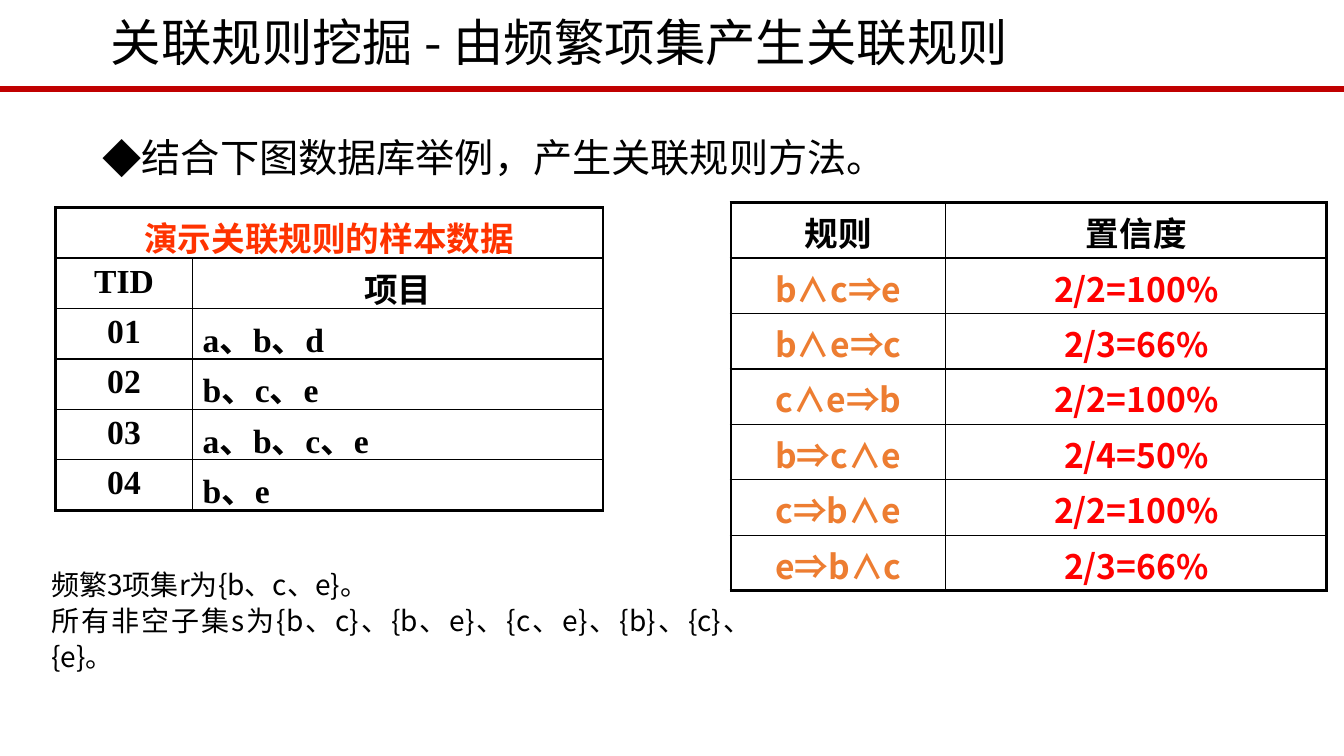
from pptx import Presentation
from pptx.dml.color import RGBColor
from pptx.enum.shapes import MSO_CONNECTOR
from pptx.enum.text import MSO_ANCHOR, MSO_AUTO_SIZE, PP_ALIGN
from pptx.oxml.xmlchemy import OxmlElement
from pptx.util import Inches, Pt

TITLE = "关联规则挖掘 - 由频繁项集产生关联规则"
TOPIC = "结合下图数据库举例，产生关联规则方法。"
NOTES = [
    "频繁3项集r为{b、c、e}。",
    "所有非空子集s为{b、c}、{b、e}、{c、e}、{b}、{c}、{e}。",
]
SAMPLES = [
    ("演示关联规则的样本数据", ""),
    ("TID", "项目"),
    ("01", "a、b、d"),
    ("02", "b、c、e"),
    ("03", "a、b、c、e"),
    ("04", "b、e"),
]
RULES = [
    ("规则", "置信度"),
    ("b∧c⇒e", "2/2=100%"),
    ("b∧e⇒c", "2/3=66%"),
    ("c∧e⇒b", "2/2=100%"),
    ("b⇒c∧e", "2/4=50%"),
    ("c⇒b∧e", "2/2=100%"),
    ("e⇒b∧c", "2/3=66%"),
]
COLORS = {
    "text": "000000",
    "divider": "C00000",
    "caption": "FF3300",
    "rule": "ED7D31",
    "confidence": "FF0000",
}
SANS, SANS_RULES, SERIF = "Noto Sans CJK SC", "Noto Sans CJK JP", "Times New Roman"
THIN, THICK = 1, 2.25


def add_child(parent, tag, **attributes):
    child = OxmlElement(tag)
    for name, value in attributes.items():
        child.set(name, str(value))
    parent.append(child)
    return child


def write(paragraph, text, size, color="text", font=SANS, east_asian=SANS, bold=False, **layout):
    for name, value in layout.items():
        setattr(paragraph, name, value)
    run = paragraph.add_run()
    run.text = text
    for name, value in {"size": Pt(size), "name": font, "bold": bold}.items():
        setattr(run.font, name, value)
    run.font.color.rgb = RGBColor.from_string(COLORS[color])
    add_child(run.font._element, "a:ea", typeface=east_asian)


def add_text_box(slide, left, top, width, height):
    frame = slide.shapes.add_textbox(*map(Inches, (left, top, width, height))).text_frame
    frame.word_wrap = True
    return frame


def set_borders(cell, edges):
    properties = cell._tc.get_or_add_tcPr()
    for position, (side, outer) in enumerate(edges.items()):
        width = Pt(THICK if outer else THIN)
        line = OxmlElement(f"a:ln{side}")
        line.set("w", str(width))
        fill = add_child(line, "a:solidFill")
        add_child(fill, "a:srgbClr", val=COLORS["text"])
        properties.insert(position, line)


def add_grid(slide, rows, left, top, widths, row_height, style, bottom_margin):
    last = len(rows) - 1
    frame = slide.shapes.add_table(
        len(rows), 2, Inches(left), Inches(top), Inches(sum(widths)), Inches(row_height * len(rows))
    )
    table = frame.table
    table.first_row = table.horz_banding = False
    for column, width in zip(table.columns, widths):
        column.width = Inches(width)
    for r, values in enumerate(rows):
        table.rows[r].height = Inches(row_height)
        for c, text in enumerate(values):
            cell = table.cell(r, c)
            cell.margin_bottom = Inches(bottom_margin)
            cell.fill.background()
            spans = r == 0 and not rows[0][1]
            set_borders(cell, {"L": c == 0, "R": c == 1 or spans, "T": r == 0, "B": r == last})
            if text:
                write(cell.text_frame.paragraphs[0], text, 24, bold=True, **style(r, c))
    return table


def sample_style(r, c):
    return {
        "color": "caption" if r == 0 else "text",
        "font": SERIF,
        "alignment": PP_ALIGN.LEFT if r > 1 and c == 1 else PP_ALIGN.CENTER,
    }


def rule_style(r, c):
    if r == 0:
        return {"font": SERIF, "alignment": PP_ALIGN.CENTER}
    return {
        "color": ("rule", "confidence")[c],
        "font": SANS_RULES,
        "east_asian": SANS_RULES,
        "alignment": PP_ALIGN.CENTER,
    }


def main():
    presentation = Presentation()
    presentation.slide_width, presentation.slide_height = Inches(13.33), Inches(7.5)
    slide = presentation.slides.add_slide(presentation.slide_layouts[5])

    divider = slide.shapes.add_connector(
        MSO_CONNECTOR.STRAIGHT, 0, Inches(0.88), Inches(13.33), Inches(0.88)
    )
    divider.line.color.rgb = RGBColor.from_string(COLORS["divider"])
    divider.line.width = Pt(4.5)
    add_child(divider._element.spPr, "a:effectLst")

    title = slide.shapes.title
    title.left, title.top, title.width, title.height = map(Inches, (1, 0.11, 9.65, 0.68))
    title.text_frame.vertical_anchor = MSO_ANCHOR.MIDDLE
    write(title.text_frame.paragraphs[0], TITLE, 36, alignment=PP_ALIGN.LEFT, line_spacing=0.9)

    topic = add_text_box(slide, 0.92, 1.04, 11.5, 5.72).paragraphs[0]
    topic.line_spacing = 1.5
    properties = topic._p.get_or_add_pPr()
    properties.set("marL", str(Inches(0.25)))
    properties.set("indent", str(-Inches(0.25)))
    add_child(properties, "a:buFont", typeface=SANS)
    add_child(properties, "a:buChar", char="◆")
    write(topic, TOPIC, 28)

    samples = add_grid(slide, SAMPLES, 0.55, 2.06, (1.36, 4.07), 0.5, sample_style, 0.05)
    samples.cell(0, 0).merge(samples.cell(0, 1))

    notes = add_text_box(slide, 0.39, 5.56, 7.16, 0.93)
    notes.auto_size = MSO_AUTO_SIZE.SHAPE_TO_FIT_TEXT
    for index, text in enumerate(NOTES):
        paragraph = notes.add_paragraph() if index else notes.paragraphs[0]
        paragraph._p.get_or_add_pPr().set("marL", str(Inches(0.02)))
        write(paragraph, text, 20, alignment=PP_ALIGN.JUSTIFY, line_spacing=1.07)

    add_grid(slide, RULES, 7.25, 2.01, (2.13, 3.78), 0.55, rule_style, 0)

    presentation.save("out.pptx")


if __name__ == "__main__":
    main()
